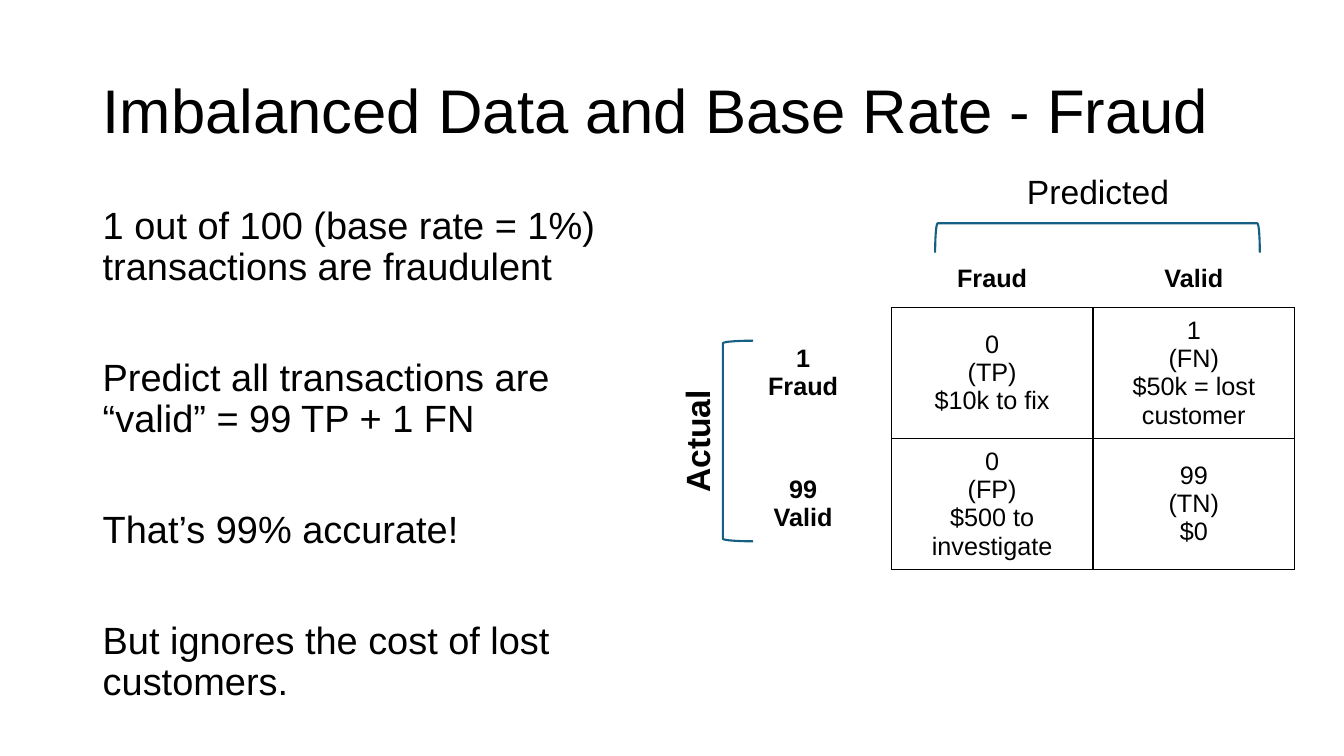
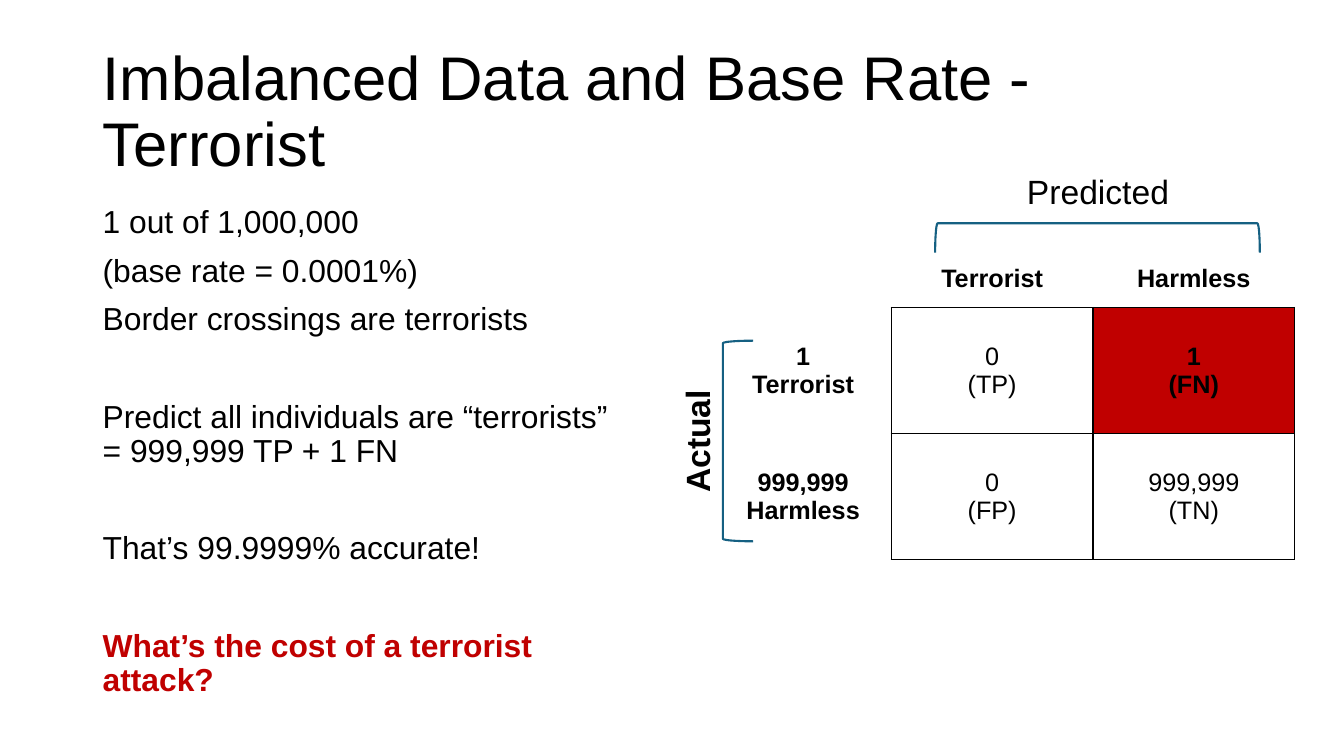
from lxml import etree
from pptx import Presentation
from pptx.dml.color import RGBColor
from pptx.enum.shapes import MSO_SHAPE
from pptx.enum.text import MSO_ANCHOR, MSO_AUTO_SIZE, PP_ALIGN
from pptx.oxml.ns import qn
from pptx.util import Inches, Pt

BLACK = RGBColor(0x00, 0x00, 0x00)
RED = RGBColor(0xC0, 0x00, 0x00)
TEAL = RGBColor(0x15, 0x60, 0x82)
FONT = "Arial"
TITLE_ONLY = 5
NO_STYLE = "{2D5ABB26-0587-4C30-8999-92F81FD0307C}"
BORDER = Pt(0.96)
LABEL_COL, VALUE_COL = 1.75, 2
HEAD_ROW, VALUE_ROW = 0.57, 1.25
PARA_GAP = 10


def format_runs(p, size, bold=False, color=BLACK):
    for r in p.runs:
        r.font.name = FONT
        r.font.size = Pt(size)
        r.font.bold = bold
        r.font.color.rgb = color


def add_title(slide, text):
    title = slide.shapes.title
    title.left, title.top = Inches(0.92), Inches(0.4)
    title.width, title.height = Inches(11.5), Inches(1.45)
    tf = title.text_frame
    tf.text = text
    tf.auto_size = MSO_AUTO_SIZE.NONE
    tf.vertical_anchor = MSO_ANCHOR.MIDDLE
    p = tf.paragraphs[0]
    p.alignment = PP_ALIGN.LEFT
    p.line_spacing = 0.9
    format_runs(p, 44)


def add_argument(slide, left, top, width, height, groups, size, group_gap,
                 alert=False):
    """Place groups of paragraphs, the last one red and bold on alert."""
    tf = slide.shapes.add_textbox(left, top, width, height).text_frame
    tf.word_wrap = True
    tf.text = "\n".join("\n".join(group) for group in groups)
    gaps = [PARA_GAP if i else group_gap
            for group in groups for i in range(len(group))]
    for i, (p, gap) in enumerate(zip(tf.paragraphs, gaps)):
        p.line_spacing = 0.9
        if i:
            p.space_before = Pt(gap)
        format_runs(p, size)
    if alert:
        format_runs(tf.paragraphs[-1], size, True, RED)


def add_axis_label(slide, left, top, text, bold=False, rotation=0):
    box = slide.shapes.add_textbox(left, top, Inches(2.32), Inches(0.5))
    box.rotation = rotation
    tf = box.text_frame
    tf.word_wrap = True
    tf.text = text
    tf.paragraphs[0].alignment = PP_ALIGN.CENTER
    format_runs(tf.paragraphs[0], 24, bold)


def add_bracket(slide, left, top, width, height, rotation=0):
    sp = slide.shapes.add_shape(MSO_SHAPE.LEFT_BRACKET, left, top, width, height)
    sp.rotation = rotation
    sp.shadow.inherit = False
    sp.fill.background()
    sp.line.color.rgb = TEAL
    sp.line.width = Pt(1.5)


def set_borders(cell):
    tc_pr = cell._tc.get_or_add_tcPr()
    for side in ("a:lnL", "a:lnR", "a:lnT", "a:lnB"):
        ln = etree.SubElement(tc_pr, qn(side), w=str(int(BORDER)))
        fill = etree.SubElement(ln, qn("a:solidFill"))
        etree.SubElement(fill, qn("a:srgbClr"), val=str(BLACK))


def add_matrix_table(slide, left, top, rows, alert_cell):
    widths = (LABEL_COL, VALUE_COL, VALUE_COL)
    heights = (HEAD_ROW, VALUE_ROW, VALUE_ROW)
    frame = slide.shapes.add_table(len(rows), len(widths), left, top,
                                   Inches(sum(widths)), Inches(sum(heights)))
    table = frame.table
    table.first_row = table.horz_banding = False
    table._tbl.tblPr.find(qn("a:tableStyleId")).text = NO_STYLE
    for col, width in zip(table.columns, widths):
        col.width = Inches(width)
    for row, height in zip(table.rows, heights):
        row.height = Inches(height)
    for i, row in enumerate(rows):
        for j, text in enumerate(row):
            cell = table.cell(i, j)
            is_value = i > 0 and j > 0
            if is_value:
                set_borders(cell)
            if (i, j) == alert_cell:
                cell.fill.solid()
                cell.fill.fore_color.rgb = RED
            else:
                cell.fill.background()
            cell.vertical_anchor = MSO_ANCHOR.MIDDLE
            cell.text_frame.text = text
            for p in cell.text_frame.paragraphs:
                p.alignment = PP_ALIGN.CENTER
                format_runs(p, 18, not is_value or (i, j) == alert_cell)


def add_confusion_matrix(slide, left, top, rows, alert_cell=None):
    add_matrix_table(slide, left, top, rows, alert_cell)
    add_axis_label(slide, left + Inches(2.64), top - Inches(0.83), "Predicted")
    add_bracket(slide, left + Inches(3.65), top - Inches(1.73),
                Inches(0.29), Inches(3.22), rotation=90)
    add_axis_label(slide, left - Inches(1.34), top + Inches(1.65), "Actual",
                   bold=True, rotation=270)
    add_bracket(slide, left + Inches(0.08), top + Inches(0.9),
                Inches(0.3), Inches(1.99))


def add_base_rate_slide(prs, title, argument, rows, alert_cell=None):
    slide = prs.slides.add_slide(prs.slide_layouts[TITLE_ONLY])
    add_title(slide, title)
    add_argument(slide, Inches(0.92), Inches(2), Inches(5.35), Inches(5.1),
                 **argument)
    add_confusion_matrix(slide, Inches(7.09), Inches(2.48), rows, alert_cell)


def main():
    prs = Presentation()
    prs.slide_width, prs.slide_height = Inches(13.33), Inches(7.5)
    add_base_rate_slide(
        prs, "Imbalanced Data and Base Rate - Fraud",
        dict(size=27.1, group_gap=50, groups=[
            ["1 out of 100 (base rate = 1%) transactions are fraudulent"],
            ["Predict all transactions are “valid” = 99 TP + 1 FN"],
            ["That’s 99% accurate!"],
            ["But ignores the cost of lost customers."],
        ]),
        [["", "Fraud", "Valid"],
         ["1\nFraud", "0\n(TP)\n$10k to fix", "1\n(FN)\n$50k = lost customer"],
         ["99\nValid", "0\n(FP)\n$500 to investigate", "99\n(TN)\n$0"]])
    add_base_rate_slide(
        prs, "Imbalanced Data and Base Rate - Terrorist",
        dict(size=22.7, group_gap=45, alert=True, groups=[
            ["1 out of 1,000,000", "(base rate = 0.0001%)",
             "Border crossings are terrorists"],
            ["Predict all individuals are “terrorists” = 999,999 TP + 1 FN"],
            ["That’s 99.9999% accurate!"],
            ["What’s the cost of a terrorist attack?"],
        ]),
        [["", "Terrorist", "Harmless"],
         ["1\nTerrorist", "0\n(TP)", "1\n(FN)"],
         ["999,999\nHarmless", "0\n(FP)", "999,999\n(TN)"]],
        alert_cell=(1, 2))
    prs.save("out.pptx")


if __name__ == "__main__":
    main()
